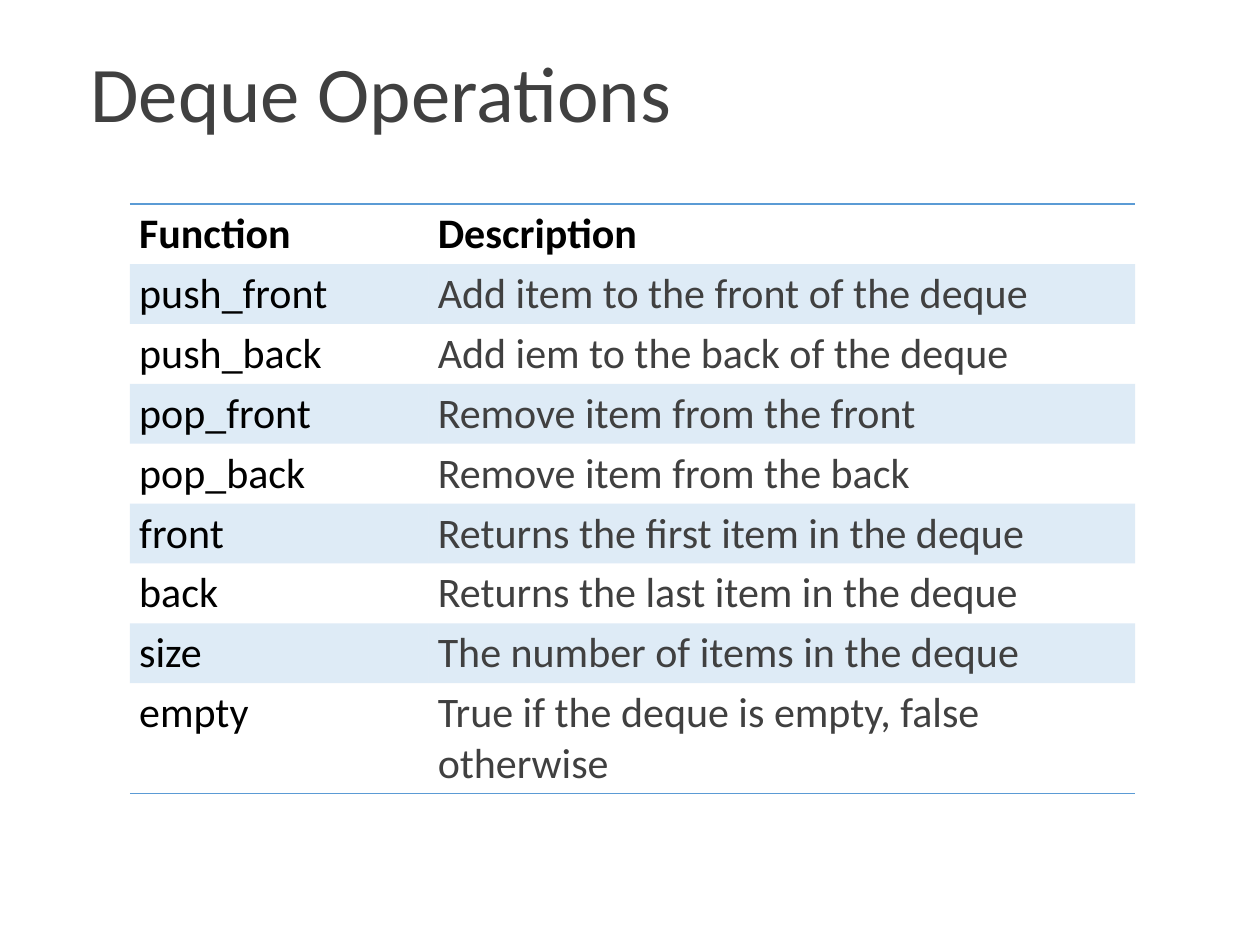
import lxml.etree
import pptx
import pptx.dml.color
import pptx.oxml.ns
import pptx.util

Inches = pptx.util.Inches
Pt = pptx.util.Pt
BLACK = pptx.dml.color.RGBColor(0x00, 0x00, 0x00)
GRAY = pptx.dml.color.RGBColor(0x40, 0x40, 0x40)
BLUE = pptx.dml.color.RGBColor(0x5B, 0x9B, 0xD5)
FONT = "Calibri"
ROWS = [
    ("Function", "Description"),
    ("push_front", "Add item to the front of the deque"),
    ("push_back", "Add iem to the back of the deque"),
    ("pop_front", "Remove item from the front"),
    ("pop_back", "Remove item from the back"),
    ("front", "Returns the first item in the deque"),
    ("back", "Returns the last item in the deque"),
    ("size", "The number of items in the deque"),
    ("empty", "True if the deque is empty, false otherwise"),
]


def add_child(parent, tag, **attributes):
    """Append a DrawingML element to the parent and return it."""
    name = pptx.oxml.ns.qn(tag)
    return lxml.etree.SubElement(parent, name, attributes)


def set_borders(cell, ruled_sides):
    """Rule the named sides of a cell in blue and clear the others."""
    properties = cell._tc.get_or_add_tcPr()
    for side in ("L", "R", "T", "B"):
        line = add_child(properties, f"a:ln{side}", w=str(Pt(1)))
        if side in ruled_sides:
            fill = add_child(line, "a:solidFill")
            add_child(fill, "a:srgbClr", val=str(BLUE))
        else:
            add_child(line, "a:noFill")


def fill_cell(cell, banded):
    """Tint a banded cell with translucent blue, or leave it clear."""
    if not banded:
        cell.fill.background()
        return
    cell.fill.solid()
    cell.fill.fore_color.rgb = BLUE
    color = cell._tc.tcPr.find(".//" + pptx.oxml.ns.qn("a:srgbClr"))
    add_child(color, "a:alpha", val="20000")


def write_cell(cell, text, color, bold):
    """Set the text, margins and font of a cell."""
    cell.text = text
    cell.margin_left = cell.margin_right = Pt(5.4)
    cell.margin_top = cell.margin_bottom = Pt(2.7)
    font = cell.text_frame.paragraphs[0].font
    font.name, font.size, font.bold = FONT, Pt(24), bold
    font.color.rgb = color


def add_title(page, left, top, width, height):
    """Place the slide heading in the given box."""
    box = page.shapes.add_textbox(left, top, width, height)
    box.text_frame.word_wrap = True
    para = box.text_frame.paragraphs[0]
    para.text = "Deque Operations"
    para.line_spacing = 0.7
    para.space_before = Pt(10)
    para.font.name, para.font.size = FONT, Pt(45)
    para.font.color.rgb = GRAY


def add_operations(page, left, top, width, height):
    """Place the table of deque functions in the given box."""
    frame = page.shapes.add_table(len(ROWS), 2, left, top, width, height)
    table = frame.table
    table.first_row = table.horz_banding = False
    table.columns[0].width = Inches(2.37)
    table.columns[1].width = width - Inches(2.37)
    for row, texts in enumerate(ROWS):
        header = row == 0
        sides = "TB" if header else "B" if row == len(ROWS) - 1 else ""
        for column, text in enumerate(texts):
            cell = table.cell(row, column)
            color = BLACK if header or column == 0 else GRAY
            write_cell(cell, text, color, header)
            set_borders(cell, sides)
            fill_cell(cell, row % 2 == 1)


def main():
    """Build the slide and save the deck."""
    deck = pptx.Presentation()
    deck.slide_width, deck.slide_height = Inches(10), Inches(7.5)
    page = deck.slides.add_slide(deck.slide_layouts[6])
    add_title(page, Inches(0.62), Inches(0.5), Inches(4.95), Inches(1.18))
    add_operations(page, Inches(1.03), Inches(1.62), Inches(7.98), Inches(4.23))
    deck.save("out.pptx")


if __name__ == "__main__":
    main()
